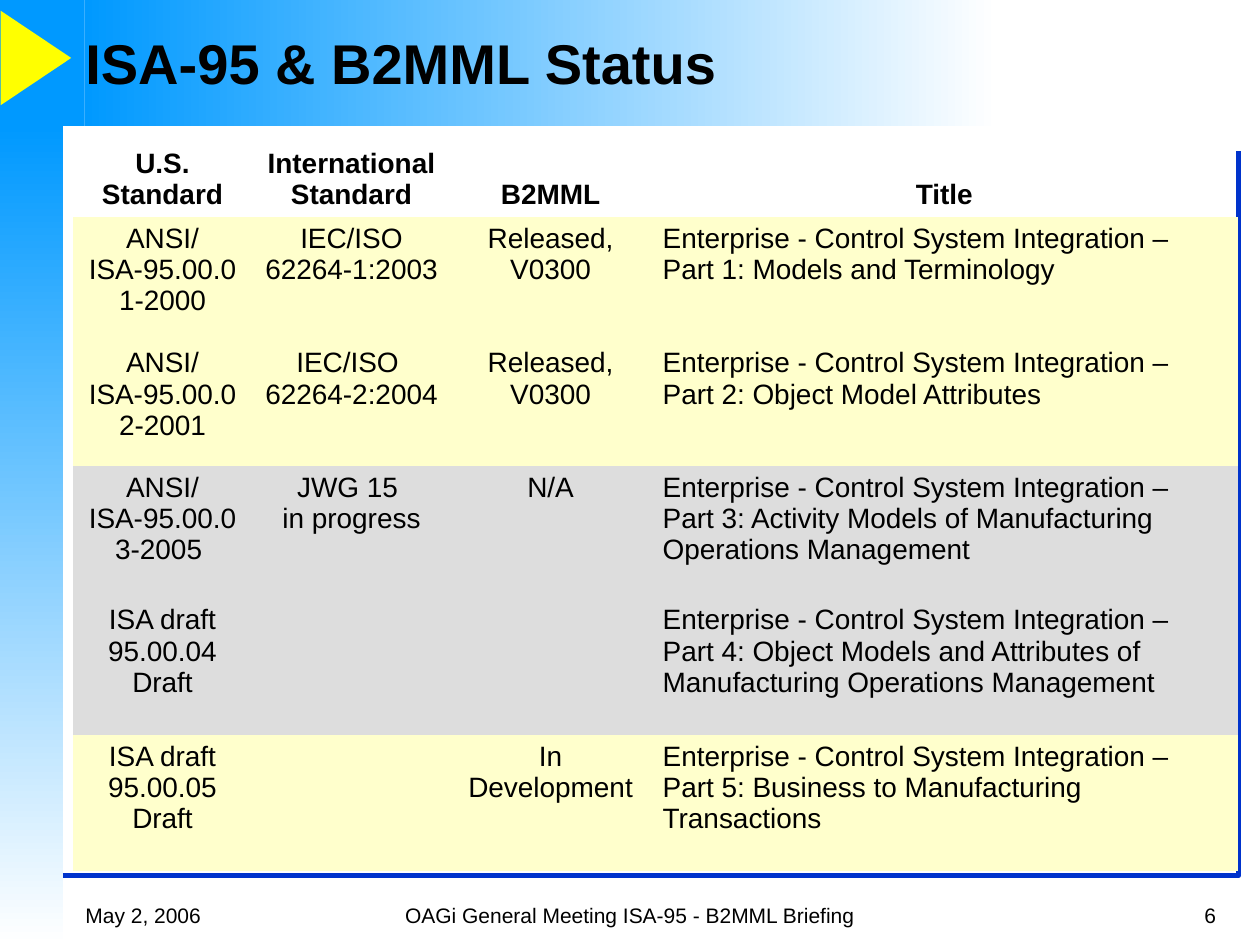
from pptx import Presentation
from pptx.dml.color import RGBColor
from pptx.enum.shapes import MSO_SHAPE as Shape
from pptx.enum.text import MSO_ANCHOR as Anchor, PP_ALIGN as Align
from pptx.util import Inches, Pt

COLORS = {
    "text": "000000",
    "sky": "0099FF",
    "white": "FFFFFF",
    "marker": "FFFF00",
    "frame": "0033CC",
    "released": "FFFFCC",
    "pending": "DDDDDD",
}
FONT = "Arial"
NO_STYLE = "{2D5ABB26-0587-4C30-8999-92F81FD0307C}"

HEADERS = ["U.S. Standard", "International Standard", "B2MML", "Title"]
TITLE_START = "Enterprise - Control System Integration – \v"
STANDARDS = [
    ("released", "ANSI/ISA-95.00.01-2000", "IEC/ISO\v62264-1:2003", "Released, V0300",
     "Part 1: Models and Terminology"),
    ("released", "ANSI/ISA-95.00.02-2001", "IEC/ISO \v62264-2:2004", "Released, V0300",
     "Part 2: Object Model Attributes"),
    ("pending", "ANSI/ISA-95.00.03-2005 ", "JWG 15 \vin progress", "N/A",
     "Part 3: Activity Models of Manufacturing Operations Management"),
    ("pending", "ISA draft 95.00.04\vDraft", "", "",
     "Part 4: Object Models and Attributes of Manufacturing Operations Management"),
    ("released", "ISA draft 95.00.05\vDraft", "", "In Development",
     "Part 5: Business to Manufacturing Transactions"),
]
COLUMN_WIDTHS = [1.42, 1.58, 1.58, 4.67]
ROW_HEIGHTS = [0.8, 0.99, 0.99, 1.05, 1.08, 1.08]


def color(name):
    """Return the named colour."""
    return RGBColor.from_string(COLORS[name])


def write(text_frame, text, size, align=Align.LEFT, bold=False):
    """Set one formatted paragraph in a text frame."""
    paragraph = text_frame.paragraphs[0]
    paragraph.text = text
    paragraph.alignment = align
    for run in paragraph.runs:
        run.font.name = FONT
        run.font.size = Pt(size)
        run.font.bold = bold
        run.font.color.rgb = color("text")


def add_text(slide, box, text, size, align=Align.LEFT, bold=False, anchor=Anchor.BOTTOM):
    """Add a wrapped text box."""
    text_frame = slide.shapes.add_textbox(*map(Inches, box)).text_frame
    text_frame.word_wrap = True
    text_frame.vertical_anchor = anchor
    write(text_frame, text, size, align, bold)


def add_block(slide, kind, box, fill):
    """Add a plain filled shape without outline."""
    shape = slide.shapes.add_shape(kind, *map(Inches, box))
    shape.shadow.inherit = False
    shape.line.fill.background()
    shape.fill.solid()
    shape.fill.fore_color.rgb = color(fill)
    return shape


def add_fade(slide, box, angle):
    """Add a band that fades from sky blue to white."""
    fill = add_block(slide, Shape.RECTANGLE, box, "sky").fill
    fill.gradient()
    fill.gradient_angle = angle
    for stop, name in zip(fill.gradient_stops, ("sky", "white")):
        stop.color.rgb = color(name)


def add_backdrop(slide, box):
    """Draw the top band, side band and yellow marker."""
    left, top, width, height = box
    corner, band, side = 0.67, 1, 0.5
    add_fade(slide, (left + corner, top, 7.25, band), 0)
    add_fade(slide, (left, top + band, side, height - band), 270)
    add_block(slide, Shape.RECTANGLE, (left, top, corner, band), "sky")
    marker = add_block(slide, Shape.ISOSCELES_TRIANGLE,
                       (left - 0.09, top + 0.18, 0.75, 0.56), "marker")
    marker.rotation = 90


def add_frame(slide, box):
    """Draw the blue line along the bottom and right sides of the box."""
    left, top, width, height = map(Inches, box)
    builder = slide.shapes.build_freeform(left, top + height)
    builder.add_line_segments(
        [(left + width, top + height), (left + width, top)], close=False)
    shape = builder.convert_to_shape()
    shape.shadow.inherit = False
    shape.fill.background()
    shape.line.color.rgb = color("frame")
    shape.line.width = Pt(3)


def add_status_table(slide, box):
    """Add the table of standards and their status."""
    table = slide.shapes.add_table(
        len(ROW_HEIGHTS), len(COLUMN_WIDTHS), *map(Inches, box)).table
    table.first_row = table.horz_banding = False
    table._tbl.tblPr[0].text = NO_STYLE
    for column, width in zip(table.columns, COLUMN_WIDTHS):
        column.width = Inches(width)
    for row, height in zip(table.rows, ROW_HEIGHTS):
        row.height = Inches(height)
    for cell, header in zip(table.rows[0].cells, HEADERS):
        cell.fill.background()
        cell.vertical_anchor = Anchor.BOTTOM
        write(cell.text_frame, header, 16, Align.CENTER, True)
    for index, (status, *labels, part) in enumerate(STANDARDS, 1):
        for column, text in enumerate([*labels, TITLE_START + part]):
            cell = table.cell(index, column)
            cell.fill.solid()
            cell.fill.fore_color.rgb = color(status)
            align = Align.CENTER if column < len(labels) else Align.LEFT
            write(cell.text_frame, text, 16, align)


def add_footer(slide, box):
    """Add the date, meeting name and slide number."""
    left, top, width, height = box
    side, middle = 2.08, 4.5
    add_text(slide, (left, top, side, height), "May 2, 2006", 12)
    add_text(slide, (left + 2.17, top, middle, height),
             "OAGi General Meeting ISA-95 - B2MML Briefing", 12, Align.CENTER)
    add_text(slide, (left + width - side, top, side, height), "6", 12, Align.RIGHT)


def main():
    """Build and save the slide."""
    presentation = Presentation()
    presentation.slide_width = Inches(10)
    presentation.slide_height = Inches(7.5)
    slide = presentation.slides.add_slide(presentation.slide_layouts[6])
    add_backdrop(slide, (0, 0, 10, 7.5))
    add_frame(slide, (0.5, 1.2, 9.33, 5.75))
    add_text(slide, (0.58, 0.08, 7.33, 0.83), "ISA-95 & B2MML Status", 32,
             bold=True, anchor=Anchor.MIDDLE)
    add_status_table(slide, (0.58, 0.92, sum(COLUMN_WIDTHS), sum(ROW_HEIGHTS)))
    add_footer(slide, (0.58, 7.08, 9.17, 0.33))
    presentation.save("out.pptx")


if __name__ == "__main__":
    main()
